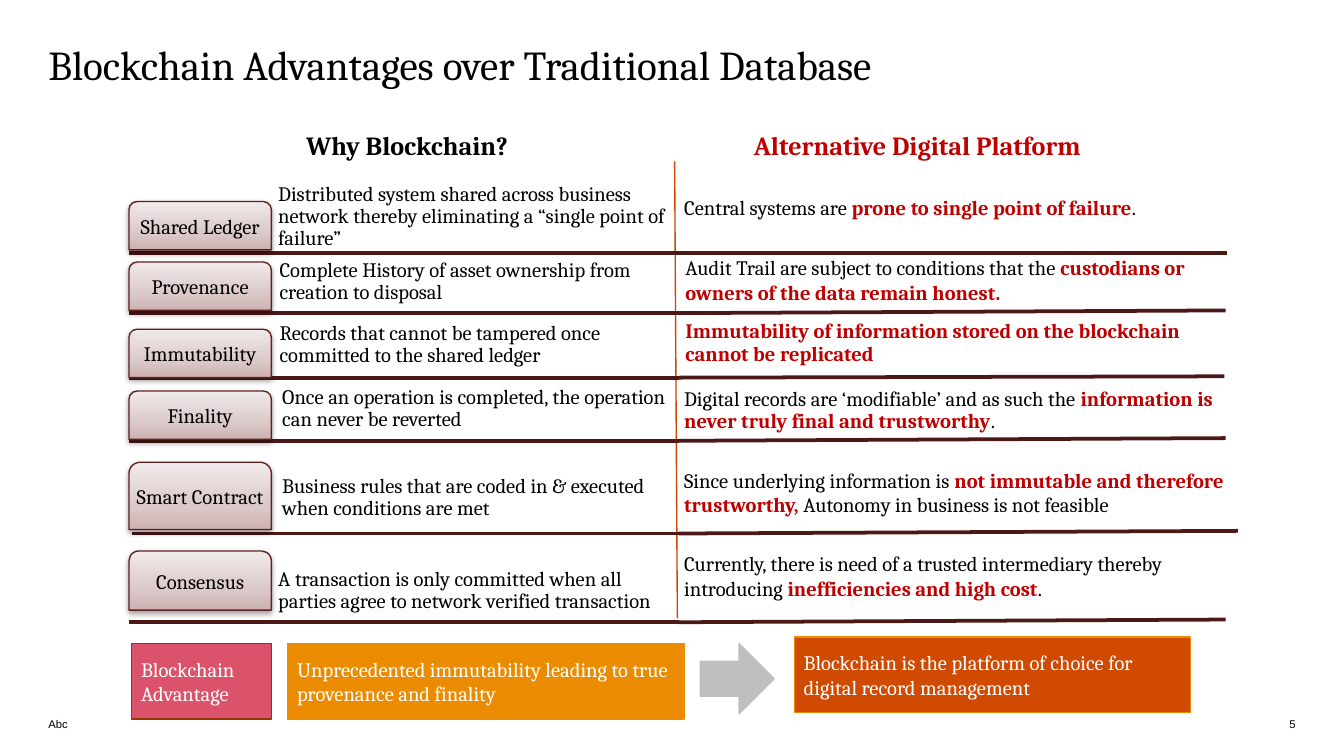
from lxml import etree
from pptx import Presentation
from pptx.dml.color import RGBColor
from pptx.enum.shapes import MSO_CONNECTOR, MSO_SHAPE
from pptx.enum.text import MSO_ANCHOR, PP_ALIGN
from pptx.oxml.ns import qn
from pptx.util import Inches, Pt

TOP, MIDDLE, BOTTOM = MSO_ANCHOR.TOP, MSO_ANCHOR.MIDDLE, MSO_ANCHOR.BOTTOM
LEFT, CENTER, RIGHT = PP_ALIGN.LEFT, PP_ALIGN.CENTER, PP_ALIGN.RIGHT
RECT, ARROW = MSO_SHAPE.RECTANGLE, MSO_SHAPE.RIGHT_ARROW
TAB = MSO_SHAPE.ROUND_2_SAME_RECTANGLE
STRAIGHT = MSO_CONNECTOR.STRAIGHT

BLACK = RGBColor(0x00, 0x00, 0x00)
WHITE = RGBColor(0xFF, 0xFF, 0xFF)
RED = RGBColor(0xC0, 0x00, 0x00)
MAROON = RGBColor(0x4C, 0x18, 0x16)
WINE = RGBColor(0x60, 0x21, 0x1D)
RUST = RGBColor(0xD0, 0x46, 0x00)
BRICK = RGBColor(0xD0, 0x4A, 0x02)
BROWN = RGBColor(0x97, 0x36, 0x01)
ORANGE = RGBColor(0xEB, 0x8C, 0x00)
ROSE = RGBColor(0xDB, 0x53, 0x6A)
GREY = RGBColor(0xBF, 0xBF, 0xBF)
TAB_STOPS = [(0, "CDB1B2"), (35, "DBC9C9"), (100, "F1EAEA")]

TITLE = "Blockchain Advantages over Traditional Database"
HEADS = [(2.28, "Why Blockchain?", BLACK),
         (5.61, "Alternative Digital Platform", RED)]

# Text between asterisks is bold and red. A "low" note sits at the box bottom.
ROWS = [
    {"label": "Shared Ledger", "tab": (1.5, 0.36),
     "rule": (0.96, 1.88, 9.13, 1.88),
     "why": "Distributed system shared across business network thereby "
            "eliminating a “single point of failure”",
     "why_at": (2.05, 1.36, 3.02, 0.52),
     "alt": "Central systems are *prone to single point of failure*.",
     "alt_at": (5.09, 1.45, 3.98, 0.16), "low": False},
    {"label": "Provenance", "tab": (1.95, 0.36),
     "rule": (0.96, 2.33, 9.12, 2.31),
     "why": "Complete History of asset ownership from creation to disposal",
     "why_at": (2.06, 1.92, 3.02, 0.36),
     "alt": "Audit Trail are subject to conditions that the "
            "*custodians or owners of the data remain honest.*",
     "alt_at": (5.1, 1.9, 4, 0.37), "low": False},
    {"label": "Immutability", "tab": (2.45, 0.36),
     "rule": (0.96, 2.81, 9.11, 2.8),
     "why": "Records that cannot be tampered once committed to the "
            "shared ledger",
     "why_at": (2.06, 2.39, 3.02, 0.36),
     "alt": "*Immutability of information stored on the blockchain "
            "cannot be replicated*",
     "alt_at": (5.08, 2.38, 4.01, 0.36), "low": True},
    {"label": "Finality", "tab": (2.91, 0.36),
     "rule": (0.96, 3.28, 9.12, 3.26),
     "why": "Once an operation is completed, the operation can never "
            "be reverted",
     "why_at": (2.08, 2.87, 2.99, 0.36),
     "alt": "Digital records are ‘modifiable’ and as such the "
            "*information is never truly final and trustworthy*.",
     "alt_at": (5.07, 2.88, 4.01, 0.36), "low": True},
    {"label": "Smart Contract", "tab": (3.44, 0.5),
     "rule": (0.98, 3.97, 9.21, 3.95),
     "why": "Business rules that are coded in & executed when conditions "
            "are met",
     "why_at": (2.08, 3.45, 3.02, 0.44),
     "alt": "Since underlying information is* not immutable and therefore "
            "trustworthy, *Autonomy in business is not feasible",
     "alt_at": (5.09, 3.48, 4.31, 0.52), "low": False},
    {"label": "Consensus", "tab": (4.1, 0.44),
     "rule": (0.96, 4.63, 9.12, 4.61),
     "why": "A transaction is only committed when all parties agree to "
            "network verified transaction",
     "why_at": (2.05, 4.14, 2.92, 0.44),
     "alt": "Currently, there is need of a trusted intermediary thereby "
            "introducing *inefficiencies and high cost*.",
     "alt_at": (5.09, 4.1, 3.99, 0.32), "low": False},
]
BANNERS = [
    (RECT, (2.14, 4.79, 2.95, 0.56), ORANGE, ORANGE,
     "Unprecedented immutability leading to true provenance and finality"),
    (RECT, (0.98, 4.79, 1.04, 0.56), ROSE, BROWN, "Blockchain Advantage"),
    (ARROW, (5.21, 4.79, 0.55, 0.52), GREY, GREY, ""),
    (RECT, (5.91, 4.74, 2.95, 0.56), BRICK, ORANGE,
     "Blockchain is the platform of choice for digital record management"),
]
FOOTS = [((0.36, 5.33, 4.49, 0.11), "Abc", LEFT),
         ((8.19, 5.33, 1.45, 0.11), "5", RIGHT)]

TAB_X, TAB_W, MID_X = 0.96, 1.06, 5.05
LOW = {"anchor": BOTTOM, "pad": (0.02,) * 4, "gap": 0.9}

deck = Presentation()
deck.slide_width = Inches(10)
deck.slide_height = deck.slide_width * 9 // 16
slide = deck.slides.add_slide(deck.slide_layouts[5])
shapes = slide.shapes


def write(shape, text, size=11, color=BLACK, bold=False, face="Cambria",
          align=LEFT, anchor=TOP, pad=(0, 0, 0, 0), gap=1.0):
    """Fill a shape with text, where parts between asterisks are bold red."""
    frame = shape.text_frame
    frame.word_wrap, frame.vertical_anchor = True, anchor
    for side, inset in zip(("left", "top", "right", "bottom"), pad):
        setattr(frame, "margin_" + side, Inches(inset))
    para = frame.paragraphs[0]
    para.alignment, para.line_spacing = align, gap
    for i, part in enumerate(text.split("*")):
        if part:
            strong = i % 2 == 1
            run = para.add_run()
            run.text = part
            look = {"name": face, "size": Pt(size), "bold": bold or strong}
            for key, value in look.items():
                setattr(run.font, key, value)
            run.font.color.rgb = RED if strong else color


def note(at, text, **look):
    write(shapes.add_textbox(*map(Inches, at)), text, **look)


def rule(x1, y1, x2, y2, color, width):
    line = shapes.add_connector(STRAIGHT, *map(Inches, (x1, y1, x2, y2)))
    line.line.color.rgb, line.line.width = color, Pt(width)
    etree.SubElement(line._element.spPr, qn("a:effectLst"))


def block(kind, at, edge):
    shape = shapes.add_shape(kind, *map(Inches, at))
    shape.shadow.inherit = False
    shape.line.color.rgb, shape.line.width = edge, Pt(0.75)
    return shape


def tint(parent, color):
    return etree.SubElement(parent, qn("a:srgbClr"), val=color)


def tab(top, height, label):
    """Draw a row label with a three-stop gradient and a soft shadow."""
    shape = block(TAB, (TAB_X, top, TAB_W, height), WINE)
    shape.fill.gradient()
    shape.fill.gradient_angle = 90
    props = shape._element.spPr
    stops = props.find(".//" + qn("a:gsLst"))
    for old in list(stops):
        stops.remove(old)
    for pos, color in TAB_STOPS:
        tint(etree.SubElement(stops, qn("a:gs"), pos=str(pos * 1000)), color)
    shade = etree.SubElement(
        props.find(qn("a:effectLst")), qn("a:outerShdw"),
        blurRad=str(Pt(3.1)), dist=str(Pt(1.6)), dir="5400000",
        rotWithShape="0")
    etree.SubElement(tint(shade, "000000"), qn("a:alpha"), val="37000")
    write(shape, label, align=CENTER, anchor=MIDDLE,
          pad=(0.03, 0.03, 0.03, 0.02), gap=0.9)


title = shapes.title
title.left, title.top = Inches(0.36), Inches(0.35)
title.width, title.height = Inches(9.27), Inches(0.71)
write(title, TITLE, size=22, gap=0.85)

rule(5.02, 1.2, 5.04, 4.6, RUST, 0.75)
for x, text, color in HEADS:
    note((x, 0.96, 2.97, 0.28), text, size=14, color=color, bold=True)

for row in ROWS:
    x1, y1, x2, y2 = row["rule"]
    rule(x1, y1, MID_X, y1, MAROON, 2)
    rule(MID_X, y1, x2, y2, MAROON, 2)
    note(row["why_at"], row["why"], **LOW)
    tab(*row["tab"], row["label"])
    note(row["alt_at"], row["alt"], **(LOW if row["low"] else {}))

for kind, at, fill, edge, text in BANNERS:
    shape = block(kind, at, edge)
    shape.fill.solid()
    shape.fill.fore_color.rgb = fill
    if text:
        write(shape, text, color=WHITE, anchor=MIDDLE,
              pad=(0.07, 0.04, 0.07, 0.04))

for at, text, align in FOOTS:
    note(at, text, size=6, face="Arial", align=align, anchor=BOTTOM)

deck.save("out.pptx")
